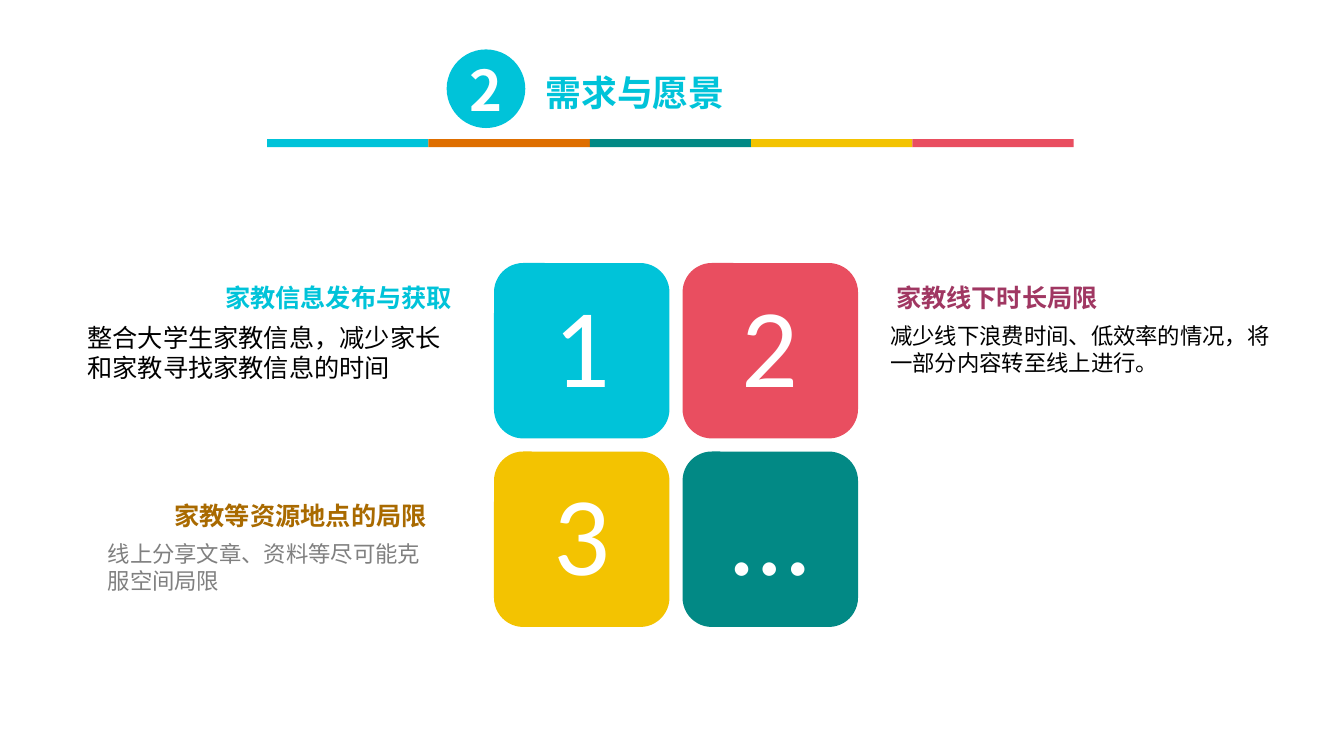
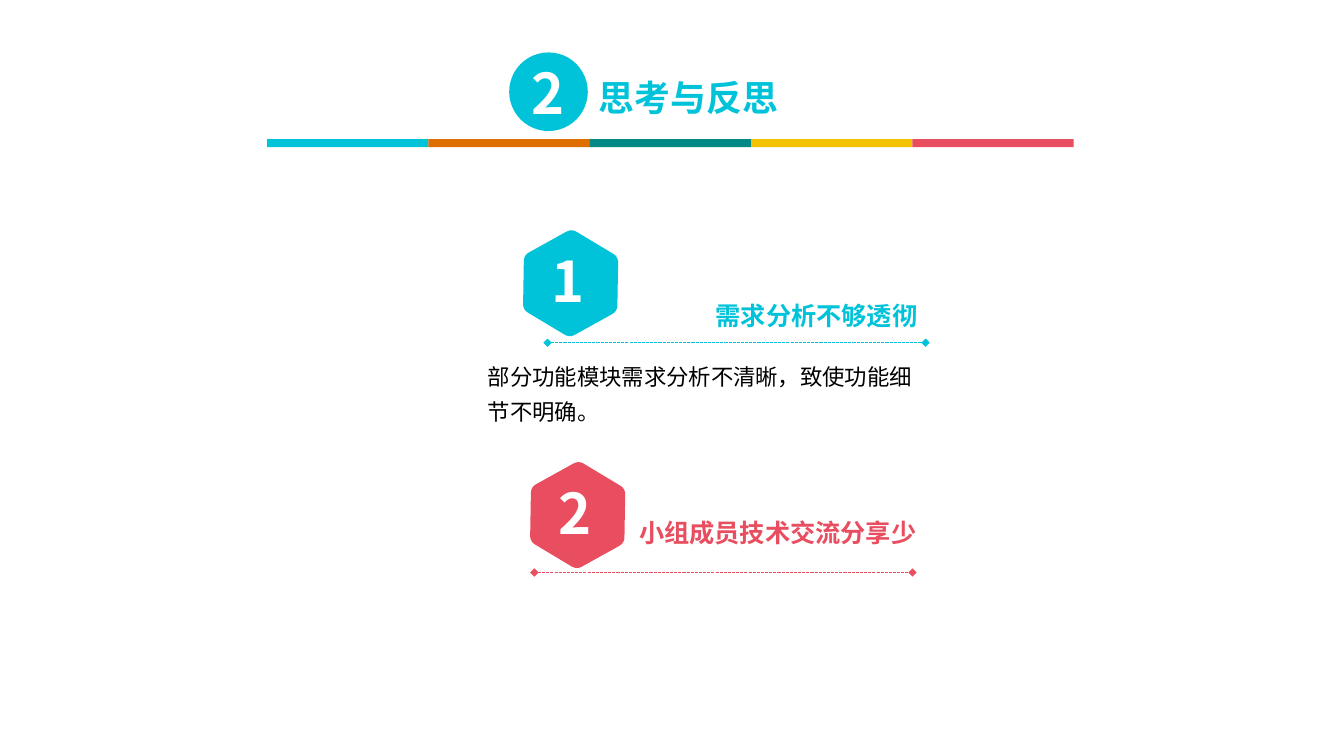
from math import cos, radians, sin

from lxml.etree import SubElement
from pptx import Presentation
from pptx.dml.color import RGBColor
from pptx.enum.dml import MSO_LINE
from pptx.enum.shapes import MSO_CONNECTOR, MSO_SHAPE
from pptx.enum.text import MSO_ANCHOR, MSO_AUTO_SIZE, PP_ALIGN
from pptx.oxml.ns import qn
from pptx.util import Inches, Pt

HUES = {
    "cyan": "00C3D9", "orange": "DE6E00", "teal": "028985",
    "yellow": "F3C301", "red": "E94E60", "plum": "A03762",
    "brown": "A96A00", "gray": "808080", "black": "000000", "white": "FFFFFF",
}
HAN = "Noto Sans CJK SC"
LATIN = "Calibri"
LEFT, MID, RIGHT = PP_ALIGN.LEFT, PP_ALIGN.CENTER, PP_ALIGN.RIGHT


def paint(shape, hue):
    """Give a shape a flat fill with no outline or shadow."""
    shape.fill.solid()
    shape.fill.fore_color.rgb = RGBColor.from_string(HUES[hue])
    shape.line.fill.background()
    shape.shadow.inherit = False


def write(shape, text, size, hue, bold=False, font=HAN, align=LEFT, wrap=True):
    """Put one formatted run in a shape and return its paragraph and run."""
    frame = shape.text_frame
    frame.word_wrap = wrap
    para = frame.paragraphs[0]
    para.alignment = align
    run = para.add_run()
    run.text = text
    run.font.size = Pt(size)
    run.font.bold = bold
    run.font.name = font
    run.font.color.rgb = RGBColor.from_string(HUES[hue])
    SubElement(run._r.get_or_add_rPr(), qn("a:ea"), typeface=HAN)
    return para, run


deck = Presentation()
deck.slide_width = Inches(13.33)
deck.slide_height = Inches(7.5)

# Shared header: numbered disc, title and colour band
slides = []
for name, disc_x, disc_y, x, y in [
    ("需求与愿景", 4.43, 0.49, 5.33, 0.57),
    ("思考与反思", 5.05, 0.52, 5.86, 0.62),
]:
    slide = deck.slides.add_slide(deck.slide_layouts[5])
    slides.append(slide)
    title = slide.shapes.title
    title.left, title.top = Inches(x), Inches(y)
    title.width, title.height = Inches(2.88), Inches(0.61)
    frame = title.text_frame
    frame.auto_size = MSO_AUTO_SIZE.NONE
    frame.vertical_anchor = MSO_ANCHOR.TOP
    frame.margin_left = frame.margin_right = Inches(0.08)
    frame.margin_top = frame.margin_bottom = Inches(0.04)
    para, run = write(title, name, 32, "cyan", bold=True)
    run._r.get_or_add_rPr().set("cap", "small")

    disc = slide.shapes.add_shape(
        MSO_SHAPE.OVAL, Inches(disc_x), Inches(disc_y), Inches(0.78), Inches(0.78))
    paint(disc, "cyan")
    write(disc, "2", 40, "white", bold=True, align=MID)

    for i, hue in enumerate(["cyan", "orange", "teal", "yellow", "red"]):
        band = slide.shapes.add_shape(
            MSO_SHAPE.RECTANGLE, Inches(2.65 + 1.6 * i), Inches(1.38),
            Inches(1.6), Inches(0.08))
        paint(band, hue)

needs, review = slides

# Needs: two by two tiles
for i, (mark, hue) in enumerate(
        [("1", "cyan"), ("2", "red"), ("3", "yellow"), ("…", "teal")]):
    row, col = divmod(i, 2)
    tile = needs.shapes.add_shape(
        MSO_SHAPE.ROUNDED_RECTANGLE, Inches(4.9 + 1.87 * col),
        Inches(2.61 + 1.87 * row), Inches(1.74), Inches(1.74))
    paint(tile, hue)
    para, run = write(tile, mark, 80, "white", font=LATIN, align=MID)
    para.line_spacing = 0.9

# Needs: heads and notes beside the tiles
for text, x, y, w, h, size, hue, head, align in [
    ("家教信息发布与获取", 1.69, 2.75, 2.89, 0.4, 18, "cyan", True, RIGHT),
    ("整合大学生家教信息，减少家长和家教寻找家教信息的时间",
     0.77, 3.15, 3.9, 1.01, 18, "black", False, LEFT),
    ("家教等资源地点的局限", 1.59, 4.91, 2.74, 0.4, 18, "brown", True, RIGHT),
    ("线上分享文章、资料等尽可能克服空间局限",
     0.97, 5.31, 3.36, 0.64, 16, "gray", False, LEFT),
    ("家教线下时长局限", 8.79, 2.75, 2.24, 0.4, 18, "plum", True, LEFT),
    ("减少线下浪费时间、低效率的情况，将一部分内容转至线上进行。",
     8.73, 3.15, 3.98, 0.64, 16, "black", False, LEFT),
]:
    box = needs.shapes.add_textbox(Inches(x), Inches(y), Inches(w), Inches(h))
    write(box, text, size, hue, bold=head, font=LATIN, align=align, wrap=not head)

# Review: hexagon, dashed rule and head for each point
RADIUS, CUT = 0.54, 0.11
ring = [(RADIUS * cos(radians(60 * k - 89)), RADIUS * sin(radians(60 * k - 89)))
        for k in range(6)]
for mark, hue, x, y, rule_x, rule_y, text, head_x, head_y, head_w in [
    ("1", "cyan", 5.66, 2.81, 5.43, 3.4, "需求分析不够透彻", 7, 2.93, 2.22),
    ("2", "red", 5.73, 5.11, 5.3, 5.68, "小组成员技术交流分享少", 6.24, 5.08, 2.98),
]:
    dots = []
    for k, (cx, cy) in enumerate(ring):
        (px, py), (nx, ny) = ring[k - 1], ring[(k + 1) % 6]
        for step in range(7):
            t = step / 6
            back, on = CUT * (1 - t) ** 2, CUT * t ** 2
            dots.append((Inches(x + cx + back * (px - cx) + on * (nx - cx)),
                         Inches(y + cy + back * (py - cy) + on * (ny - cy))))
    pen = review.shapes.build_freeform(*dots[0])
    pen.add_line_segments(dots[1:], close=True)
    paint(pen.convert_to_shape(), hue)

    box = review.shapes.add_textbox(
        Inches(x - 0.29), Inches(y - 0.41), Inches(0.41), Inches(0.77))
    write(box, mark, 40, "white", bold=True, wrap=False)

    rule = review.shapes.add_connector(
        MSO_CONNECTOR.STRAIGHT, Inches(rule_x), Inches(rule_y),
        Inches(rule_x + 3.75), Inches(rule_y))
    rule.line.color.rgb = RGBColor.from_string(HUES[hue])
    rule.line.width = Pt(0.75)
    rule.line.dash_style = MSO_LINE.SQUARE_DOT
    props = rule._element.spPr
    for end in ("a:headEnd", "a:tailEnd"):
        SubElement(props.find(qn("a:ln")), qn(end), type="diamond")
    SubElement(props, qn("a:effectLst"))

    box = review.shapes.add_textbox(
        Inches(head_x), Inches(head_y), Inches(head_w), Inches(0.4))
    box.text_frame.vertical_anchor = MSO_ANCHOR.MIDDLE
    write(box, text, 18, hue, bold=True, wrap=False)

box = review.shapes.add_textbox(Inches(4.74), Inches(3.47), Inches(4.43), Inches(0.77))
para, run = write(box, "部分功能模块需求分析不清晰，致使功能细节不明确。", 16, "black")
para.line_spacing = 1.3

deck.save("out.pptx")
